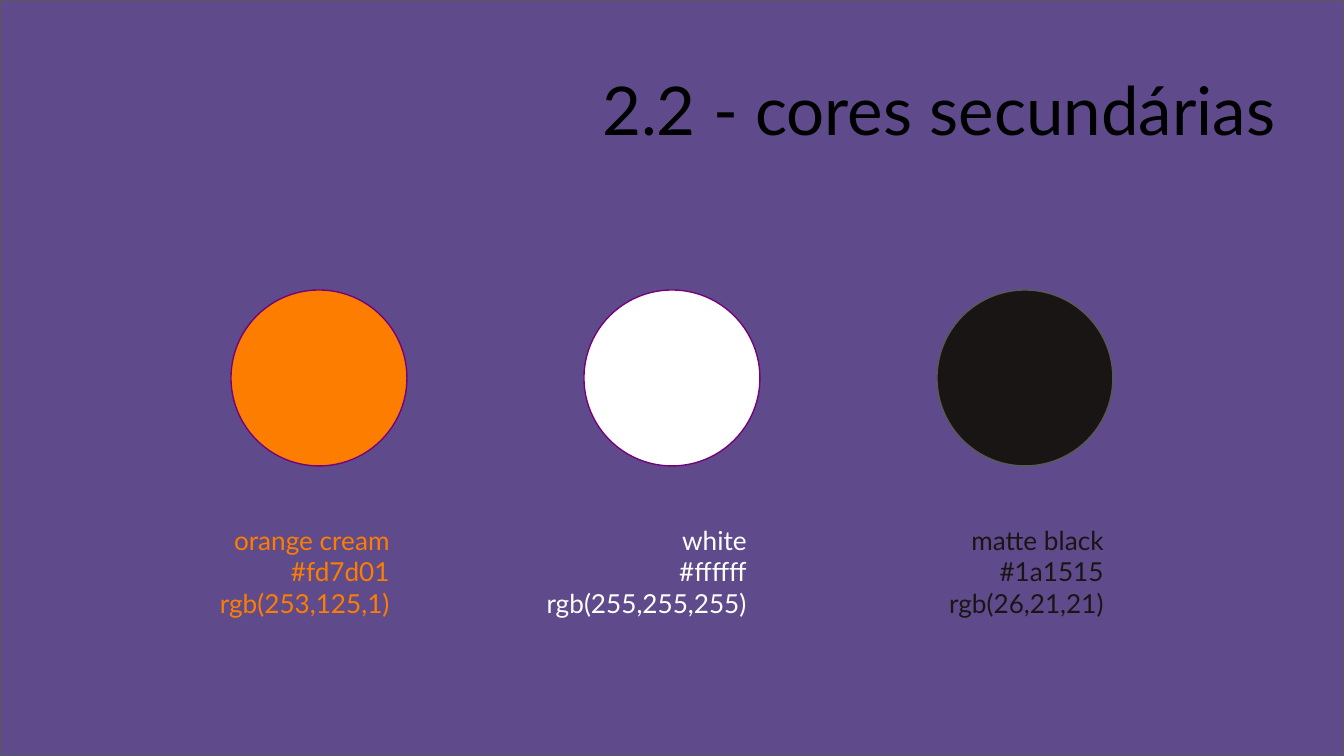
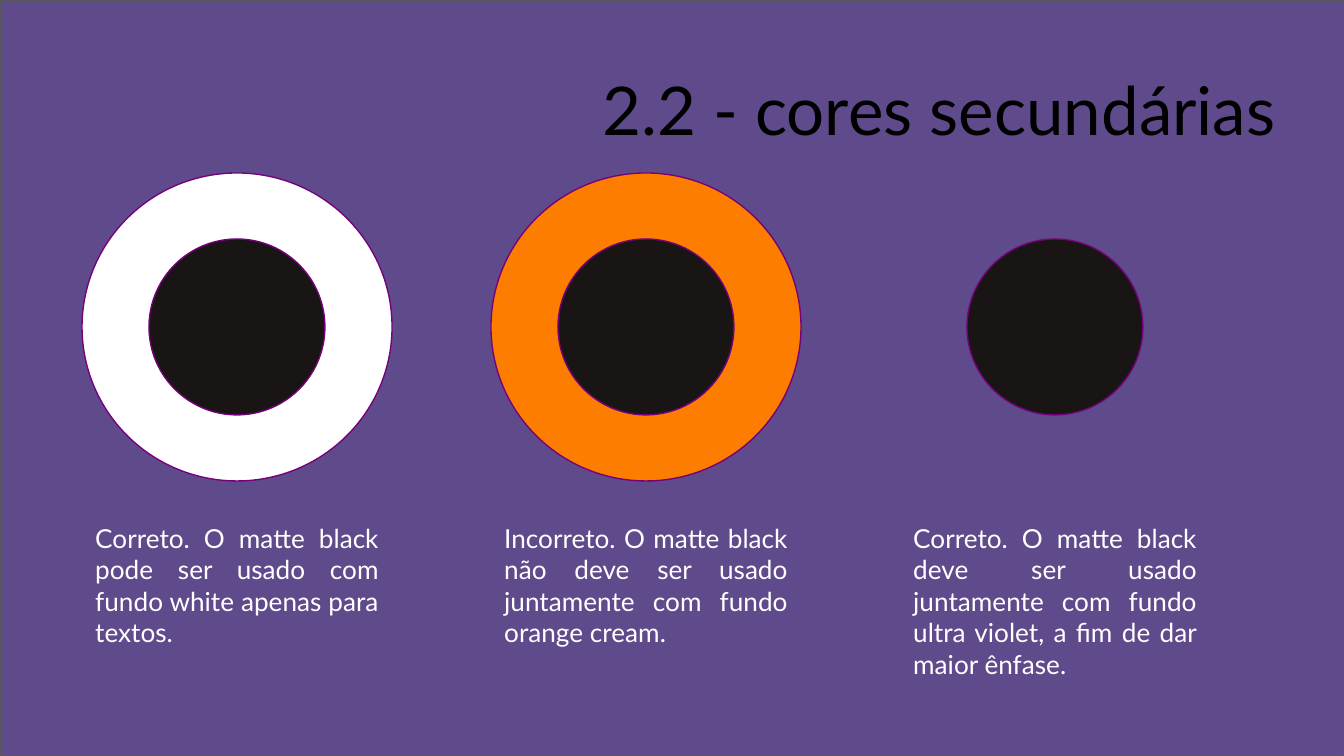
from pptx import Presentation
from pptx.dml.color import RGBColor
from pptx.enum.shapes import MSO_SHAPE as Shape
from pptx.enum.text import MSO_ANCHOR as Anchor, MSO_AUTO_SIZE as AutoSize, PP_ALIGN as Align
from pptx.util import Inches, Pt

WIDTH, HEIGHT = 1344, 756
PX = Inches(10) / WIDTH

VIOLET = "5F4B8B"
ORANGE = "FD7D01"
WHITE = "FFFFFF"
MATTE = "1A1515"
BLACK = "000000"
PURPLE_EDGE = "75027A"
GREY_EDGE = "595959"

TITLE = "2.2 - cores secundárias"
TITLE_RIGHT = 1289
DISC = 176


def emu(*lengths):
    return [round(length * PX) for length in lengths]


def rgb(color):
    return RGBColor.from_string(color)


class Guide:
    """Style of the brand guide and the slide being built."""

    font = "Lato"
    inset = round(Inches(0.1))

    def __init__(self):
        self.deck = Presentation()
        self.deck.slide_width, self.deck.slide_height = emu(WIDTH, HEIGHT)
        self.slide = None

    def new_slide(self, title_left):
        self.slide = self.deck.slides.add_slide(self.deck.slide_layouts[5])
        heading = self.slide.shapes.title
        # The backdrop goes behind the title
        backdrop = self.shape(Shape.RECTANGLE, 0, 0, WIDTH, HEIGHT, VIOLET, GREY_EDGE)
        heading.element.addprevious(backdrop.element)
        heading.left, heading.top, heading.width, heading.height = emu(
            title_left, 55, TITLE_RIGHT - title_left, 122)
        self.set_text(heading.text_frame, [TITLE], 36, BLACK, Align.RIGHT)

    def shape(self, kind, left, top, width, height, fill, edge):
        shape = self.slide.shapes.add_shape(kind, *emu(left, top, width, height))
        shape.shadow.inherit = False
        shape.fill.solid()
        shape.fill.fore_color.rgb = rgb(fill)
        shape.line.color.rgb = rgb(edge)
        shape.line.width = Pt(0.75)
        return shape

    def disc(self, left, top, fill, edge=PURPLE_EDGE, width=DISC, height=DISC):
        self.shape(Shape.OVAL, left, top, width, height, fill, edge)

    def caption(self, left, top, width, height, lines, color, align):
        box = self.slide.shapes.add_textbox(*emu(left, top, width, height))
        self.set_text(box.text_frame, lines, 14, color, align)

    def set_text(self, frame, lines, size, color, align):
        frame.word_wrap = True
        frame.auto_size = AutoSize.NONE
        frame.vertical_anchor = Anchor.TOP
        frame.margin_left = frame.margin_right = self.inset
        frame.margin_top = frame.margin_bottom = self.inset
        for index, line in enumerate(lines):
            paragraph = frame.add_paragraph() if index else frame.paragraphs[0]
            paragraph.alignment = align
            run = paragraph.add_run()
            run.text = line
            run.font.name = self.font
            run.font.size = Pt(size)
            run.font.color.rgb = rgb(color)


def secondary_colors(guide):
    guide.new_slide(title_left=78)
    swatches = [
        (ORANGE, PURPLE_EDGE, ["orange cream", "#fd7d01", "rgb(253,125,1)"]),
        (WHITE, PURPLE_EDGE, ["white", "#ffffff", "rgb(255,255,255)"]),
        (MATTE, GREY_EDGE, ["matte black", "#1a1515", "rgb(26,21,21)"]),
    ]
    for column, (color, edge, codes) in enumerate(swatches):
        guide.disc(231 + 353 * column, 290, color, edge)
        guide.caption(144 + 357 * column, 511, 259, 176, codes, color, Align.RIGHT)


def matte_black_usage(guide):
    guide.new_slide(title_left=82)
    ring_width, ring_height, ring_top = 310, 308, 173
    # Ring colour (None leaves the violet backdrop), caption height, rule
    usages = [
        (WHITE, 136, "Correto. O matte black pode ser usado com fundo white "
                     "apenas para textos."),
        (ORANGE, 136, "Incorreto. O matte black não deve ser usado juntamente "
                      "com fundo orange cream."),
        (None, 192, "Correto. O matte black deve ser usado juntamente com fundo "
                    "ultra violet, a fim de dar maior ênfase."),
    ]
    for column, (ring, caption_height, rule) in enumerate(usages):
        left = 82 + 409 * column
        if ring:
            guide.disc(left, ring_top, ring, width=ring_width, height=ring_height)
        guide.disc(left + (ring_width - DISC) // 2,
                   ring_top + (ring_height - DISC) // 2, MATTE)
        guide.caption(left, 509, ring_width, caption_height, [rule], WHITE, Align.JUSTIFY)


def main():
    guide = Guide()
    secondary_colors(guide)
    matte_black_usage(guide)
    guide.deck.save("out.pptx")


if __name__ == "__main__":
    main()
